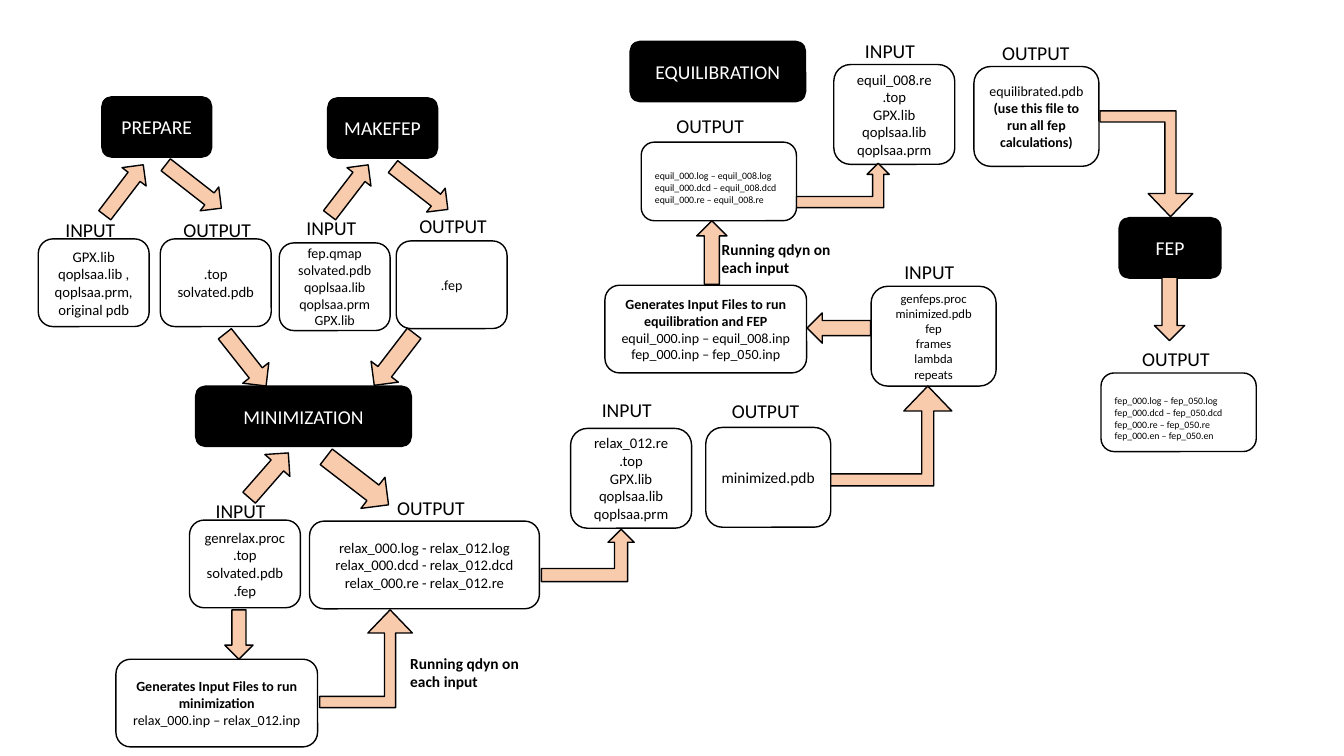
from pptx import Presentation
from pptx.dml.color import RGBColor
from pptx.enum.shapes import MSO_SHAPE as Shape
from pptx.enum.text import MSO_ANCHOR as Anchor, MSO_AUTO_SIZE as AutoSize, PP_ALIGN as Align
from pptx.util import Pt

PX = 9144
FONT = "Calibri"
COLORS = {"black": "000000", "white": "FFFFFF", "peach": "F8CBAD"}
STAGE_HEIGHT = 60
LABEL_SIZE = (92, 34)
NOTE_SIZE = (140, 47)
LOG_INSET_TOP = 17
NOTE = "Running qdyn on each input"

STAGES = [
    ("PREPARE", 101, 96, 109),
    ("MAKEFEP", 325, 97, 109),
    ("MINIMIZATION", 194, 383, 214),
    ("EQUILIBRATION", 625, 41, 174),
    ("FEP", 1110, 216, 101),
]

LABELS = {
    "INPUT": [(55, 211), (294, 209), (204, 490), (587, 390), (887, 253), (848, 34)],
    "OUTPUT": [(172, 211), (406, 207), (384, 487), (716, 391), (984, 36), (661, 108), (1123, 339)],
}

NOTES = [(397, 644), (706, 233)]

# left, top, width, height, font size, index of the bold paragraph, paragraphs
BOXES = [
    (38, 237, 110, 87, 10.5, None, ["GPX.lib", "qoplsaa.lib , qoplsaa.prm, original pdb"]),
    (159, 237, 110, 87, 10.5, None, [".top", "solvated.pdb"]),
    (277, 241, 110, 87, 10, None,
     ["fep.qmap", "solvated.pdb", "qoplsaa.lib", "qoplsaa.prm", "GPX.lib"]),
    (393, 239, 110, 87, 10, None, [".fep"]),
    (188, 516, 110, 87, 10.5, None, ["genrelax.proc", ".top", "solvated.pdb", ".fep"]),
    (307, 517, 228, 87, 10.5, None,
     ["relax_000.log - relax_012.log", "relax_000.dcd - relax_012.dcd",
      "relax_000.re - relax_012.re"]),
    (115, 654, 200, 87, 10, 0,
     ["Generates Input Files to run minimization", "relax_000.inp – relax_012.inp"]),
    (566, 425, 120, 99, 10.5, None,
     ["relax_012.re", ".top", "GPX.lib", "qoplsaa.lib qoplsaa.prm"]),
    (700, 424, 124, 99, 11, None, ["minimized.pdb"]),
    (864, 284, 124, 99, 9, None,
     ["genfeps.proc", "minimized.pdb", "fep", "frames", "lambda", "repeats"]),
    (600, 283, 200, 87, 10, 0,
     ["Generates Input Files to run equilibration and FEP",
      "equil_000.inp – equil_008.inp", "fep_000.inp – fep_050.inp"]),
    (827, 64, 120, 99, 10.5, None,
     ["equil_008.re", ".top", "GPX.lib", "qoplsaa.lib qoplsaa.prm"]),
    (966, 66, 124, 99, 10, 1,
     ["equilibrated.pdb", "(use this file to run all fep calculations)"]),
]

LOG_BOXES = [
    (636, 141, 154, 78, 7, None,
     ["equil_000.log – equil_008.log", "equil_000.dcd – equil_008.dcd",
      "equil_000.re – equil_008.re"]),
    (1092, 370, 154, 78, 7, None,
     ["fep_000.log – fep_050.log", "fep_000.dcd – fep_050.dcd",
      "fep_000.re – fep_050.re", "fep_000.en – fep_050.en"]),
]

STRAIGHT_ARROWS = [
    (108, 157, 30, 63, 217.3),
    (177, 150, 30, 70, 308),
    (331, 157, 30, 63, 217.5),
    (402, 152, 30, 69, 308),
    (227, 324, 33, 66, 321.7),
    (374, 324, 34, 65, 37.5),
    (250, 442, 33, 59, 221.2),
    (335, 438, 39, 78, 307.6),
    (223, 605, 28, 49, 0),
    (817, 294, 30, 63, 90),
    (691, 219, 30, 63, 180),
    (1145, 275, 30, 63, 0),
]

THICK_BEND = (0.25, 0.25, 0.25)
THIN_BEND = (0.12, 0.24, 0.25)
BENT_ARROWS = [
    (537, 525, 92, 52, THICK_BEND, False),
    (317, 605, 92, 97, THIN_BEND, False),
    (824, 383, 120, 99, THIN_BEND, False),
    (790, 162, 92, 44, THICK_BEND, False),
    (1091, 110, 92, 105, THIN_BEND, True),
]


def color(name):
    return RGBColor.from_string(COLORS[name])


def write(frame, paragraphs, size, ink="black", align=Align.CENTER, bold=None):
    frame.word_wrap = True
    for index, text in enumerate(paragraphs):
        paragraph = frame.paragraphs[0] if index == 0 else frame.add_paragraph()
        paragraph.alignment = align
        run = paragraph.add_run()
        run.text = text
        formats = {"name": FONT, "size": Pt(size), "bold": index == bold}
        for name, value in formats.items():
            setattr(run.font, name, value)
        run.font.color.rgb = color(ink)


def add_outlined(slide, kind, place, fill):
    shape = slide.shapes.add_shape(kind, *(value * PX for value in place))
    shape.shadow.inherit = False
    shape.fill.solid()
    shape.fill.fore_color.rgb = color(fill)
    shape.line.color.rgb = color("black")
    shape.line.width = Pt(1)
    return shape


def add_box(slide, box, align=Align.CENTER, fill="white", ink="black"):
    *place, size, bold, paragraphs = box
    shape = add_outlined(slide, Shape.ROUNDED_RECTANGLE, place, fill)
    shape.text_frame.vertical_anchor = Anchor.MIDDLE
    write(shape.text_frame, paragraphs, size, ink, align, bold)
    return shape


def add_text(slide, text, position, extent, size, bold=None):
    text_box = slide.shapes.add_textbox(*(value * PX for value in position + extent))
    write(text_box.text_frame, [text], size, align=Align.LEFT, bold=bold)
    text_box.text_frame.auto_size = AutoSize.SHAPE_TO_FIT_TEXT


def main():
    presentation = Presentation()
    presentation.slide_width = 1333 * PX
    presentation.slide_height = 750 * PX
    slide = presentation.slides.add_slide(presentation.slide_layouts[6])

    for name, left, top, width in STAGES:
        add_box(slide, (left, top, width, STAGE_HEIGHT, 14, None, [name]),
                fill="black", ink="white")
    for text, positions in LABELS.items():
        for position in positions:
            add_text(slide, text, position, LABEL_SIZE, 14)
    for box in BOXES:
        add_box(slide, box)
    for box in LOG_BOXES:
        shape = add_box(slide, box, Align.LEFT)
        shape.text_frame.margin_top = LOG_INSET_TOP * PX
    for *place, rotation in STRAIGHT_ARROWS:
        arrow = add_outlined(slide, Shape.DOWN_ARROW, place, "peach")
        arrow.rotation = rotation
    for *place, bend, flipped in BENT_ARROWS:
        arrow = add_outlined(slide, Shape.BENT_UP_ARROW, place, "peach")
        for index, value in enumerate(bend):
            arrow.adjustments[index] = value
        if flipped:
            arrow._element.spPr.xfrm.set("flipV", "1")
    for position in NOTES:
        add_text(slide, NOTE, position, NOTE_SIZE, 11, bold=0)

    presentation.save("out.pptx")


if __name__ == "__main__":
    main()
